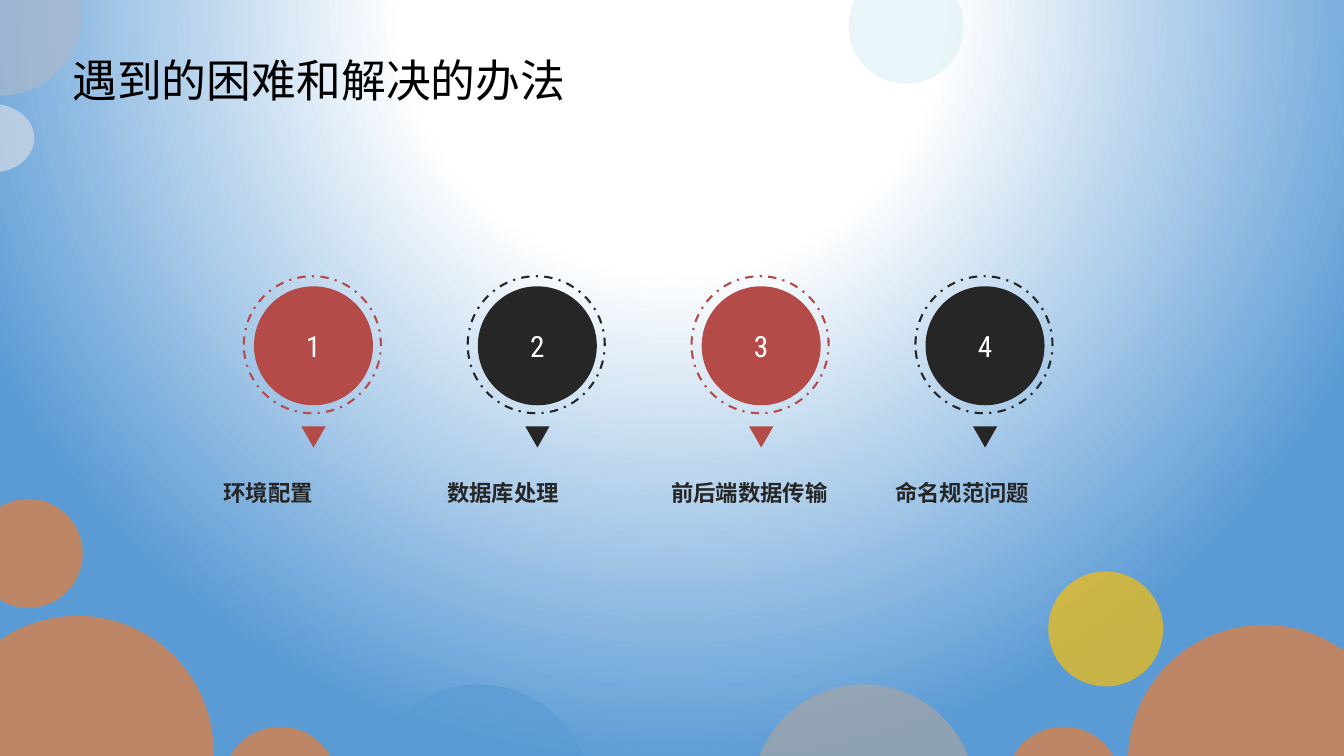
from pptx import Presentation
from pptx.dml.color import RGBColor
from pptx.enum.dml import MSO_LINE
from pptx.enum.shapes import MSO_SHAPE as SHAPE
from pptx.enum.text import MSO_ANCHOR as ANCHOR, MSO_AUTO_SIZE as AUTO, PP_ALIGN as ALIGN
from pptx.oxml import parse_xml
from pptx.oxml.ns import nsdecls, qn
from pptx.util import Pt
from lxml.etree import SubElement

RED = RGBColor(0xB5, 0x4B, 0x48)
DARK = RGBColor(0x26, 0x26, 0x26)
BLACK = RGBColor(0, 0, 0)
WHITE = RGBColor(0xFF, 0xFF, 0xFF)
ORANGE = RGBColor(0xED, 0x7D, 0x31)
GOLD = RGBColor(0xFF, 0xC0, 0x00)
BLUE = RGBColor(0x5B, 0x9B, 0xD5)
GREY = RGBColor(0xA5, 0xA5, 0xA5)
MINT = RGBColor(0xDF, 0xF1, 0xF5)
PALE = RGBColor(0xD6, 0xDC, 0xE5)
SLATE = RGBColor(0xAD, 0xB9, 0xCA)
HAN = "Noto Sans CJK SC"
LATIN = "Roboto Condensed"

# left, top, width, height, colour, opacity in percent
BUBBLES = [
    (-18.7, 356.4, 77.8, 77.8, ORANGE, 67),
    (-41.8, 439.9, 194.4, 194.4, ORANGE, 67),
    (606.2, -22.3, 82.1, 82.1, MINT, 67),
    (159.1, 519.1, 82.1, 82.1, ORANGE, 67),
    (262.1, 488.9, 159.8, 159.8, BLUE, 70),
    (805.7, 446.4, 194.4, 194.4, ORANGE, 67),
    (748.8, 408.2, 82.1, 82.1, GOLD, 67),
    (718.6, 519.1, 82.1, 82.1, ORANGE, 67),
    (537.1, 488.9, 159.8, 159.8, GREY, 70),
    (-35.3, 74.2, 59.8, 49, PALE, 67),
    (-57.6, -48.2, 115.9, 116.6, SLATE, 67),
]
TOPICS = ["环境配置", "数据库处理", "前后端数据传输", "命名规范问题"]
PITCH = 159.9


def write(frame, text, size, color, font=HAN, bold=False, align=ALIGN.LEFT):
    para = frame.paragraphs[0]
    para.alignment = align
    run = para.add_run()
    run.text = text
    run.font.size = Pt(size)
    run.font.bold = bold
    run.font.name = font
    run.font.color.rgb = color
    SubElement(run.font._element, qn("a:ea")).set("typeface", font)


class Deck:
    def __init__(self):
        self.show = Presentation()
        self.show.slide_width, self.show.slide_height = Pt(960), Pt(540)
        self.slide = self.show.slides.add_slide(self.show.slide_layouts[6])

    def glow(self, inner, outer):
        """Fill the background with a radial gradient centred above the slide."""
        stops = "".join(
            f'<a:gs pos="{pos}"><a:srgbClr val="{color}"/></a:gs>'
            for pos, color in ((0, inner), (35000, inner), (100000, outer)))
        self.slide.element.cSld.insert(0, parse_xml(
            f'<p:bg {nsdecls("p", "a")}><p:bgPr><a:gradFill rotWithShape="1">'
            f'<a:gsLst>{stops}</a:gsLst><a:path path="circle">'
            '<a:fillToRect l="50000" t="-80000" r="50000" b="180000"/></a:path>'
            '</a:gradFill><a:effectLst/></p:bgPr></p:bg>'))

    def shape(self, kind, box, fill=None, line=None, alpha=100):
        item = self.slide.shapes.add_shape(kind, *map(Pt, box))
        item.shadow.inherit = False
        if fill is None:
            item.fill.background()
        else:
            item.fill.solid()
            item.fill.fore_color.rgb = fill
        if alpha < 100:
            tint = item._element.spPr.find(qn("a:solidFill")).find(qn("a:srgbClr"))
            SubElement(tint, qn("a:alpha")).set("val", str(alpha * 1000))
        if line is None:
            item.line.fill.background()
        else:
            item.line.color.rgb = line
            item.line.width = Pt(1.5)
            item.line.dash_style = MSO_LINE.DASH_DOT
        return item

    def text(self, box, text, size, color, wrap=True, **style):
        frame = self.slide.shapes.add_textbox(*map(Pt, box)).text_frame
        frame.word_wrap = wrap
        frame.auto_size = AUTO.SHAPE_TO_FIT_TEXT
        write(frame, text, size, color, **style)

    def disc(self, box, text, fill):
        frame = self.shape(SHAPE.OVAL, box, fill).text_frame
        frame.margin_left = frame.margin_right = 0
        frame.margin_top = frame.margin_bottom = 0
        frame.vertical_anchor = ANCHOR.MIDDLE
        write(frame, text, 20.9, WHITE, font=LATIN, align=ALIGN.CENTER)

    def step(self, index, topic):
        shift = index * PITCH
        color = DARK if index % 2 else RED
        self.shape(SHAPE.OVAL, (174.2 + shift, 197.3, 97.9, 97.9), line=color)
        self.disc((181.4 + shift, 204.5, 85, 85), str(index + 1), color)
        mark = self.shape(SHAPE.ISOSCELES_TRIANGLE,
                          (215.3 + shift, 304.6, 17.3, 15.1), color)
        mark.rotation = 180
        self.text((152.6 + shift, 338.4, 141.8, 26.6), topic, 16, DARK,
                  bold=True, align=ALIGN.JUSTIFY)


def main():
    deck = Deck()
    deck.glow(WHITE, BLUE)
    for *box, color, alpha in BUBBLES:
        deck.shape(SHAPE.OVAL, box, color, alpha=alpha)
    deck.text((44.6, 33.8, 370, 46), "遇到的困难和解决的办法", 32, BLACK, wrap=False)
    for index, topic in enumerate(TOPICS):
        deck.step(index, topic)
    deck.show.save("out.pptx")


if __name__ == "__main__":
    main()
